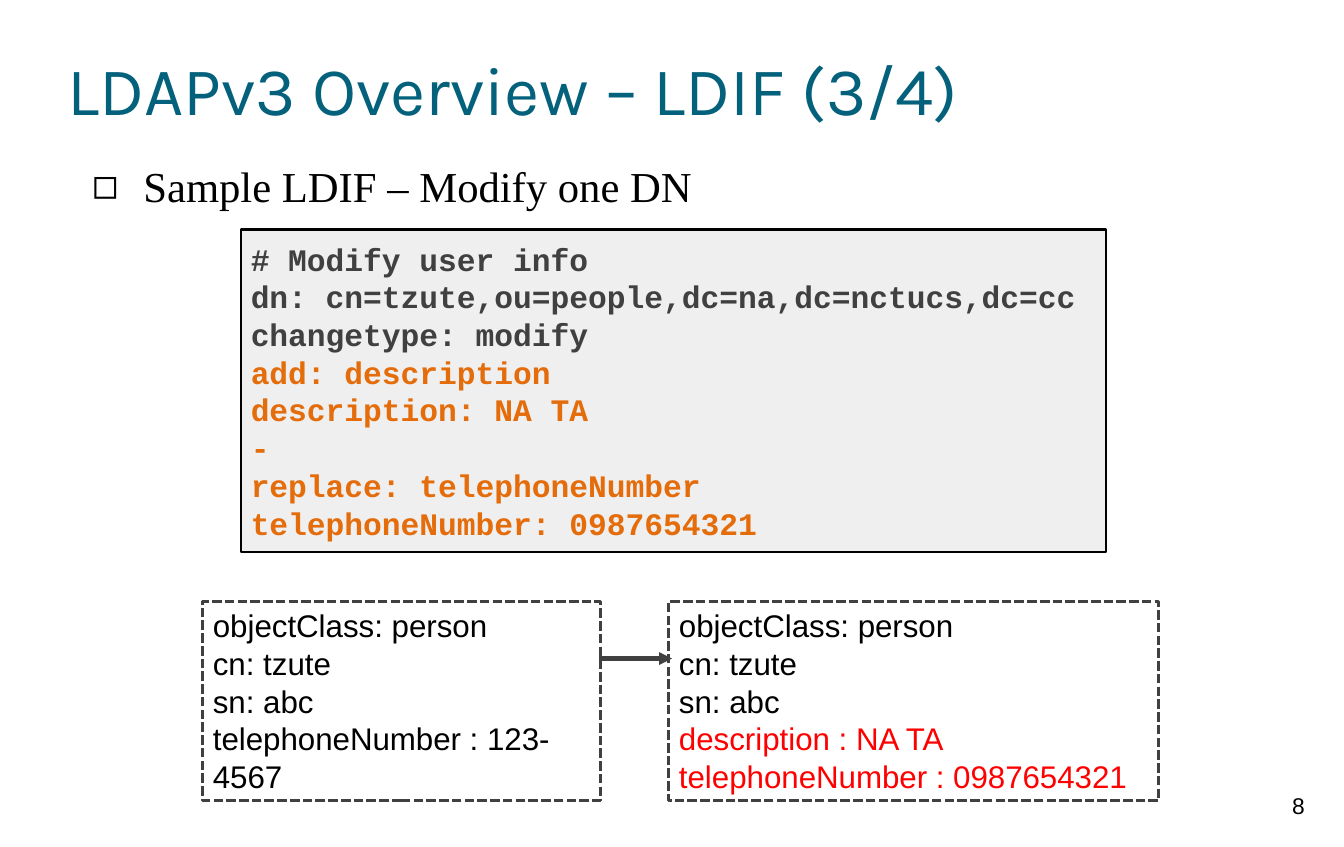
import dataclasses
import typing

import lxml.etree
import pptx
import pptx.dml.color
import pptx.enum.dml
import pptx.enum.shapes
import pptx.enum.text
import pptx.oxml.ns
import pptx.util

Anchor = pptx.enum.text.MSO_ANCHOR
Fit = pptx.enum.text.MSO_AUTO_SIZE
Align = pptx.enum.text.PP_ALIGN
qn = pptx.oxml.ns.qn

WIDTH = pptx.util.Inches(13.12)
HEIGHT = pptx.util.Inches(8.27)


@dataclasses.dataclass(frozen=True)
class Style:
    font: str
    size: float
    color: str
    bold: bool = False


@dataclasses.dataclass(frozen=True)
class Theme:
    title: Style = Style("Karla", 48, "04617B")
    topic: Style = Style("Times New Roman", 30, "000000")
    code: Style = Style("Courier New", 22, "404040", True)
    change: Style = Style("Courier New", 22, "E46C0A", True)
    entry: Style = Style("Arial", 22, "000000")
    changed_entry: Style = Style("Arial", 22, "FF0000")
    page: Style = Style("Arial", 16, "000000")
    code_fill: str = "EFEFEF"
    code_line: str = "000000"
    entry_line: str = "404040"
    line_pitch: float = 26.5


THEME = Theme()


class Area(typing.NamedTuple):
    left: float
    top: float
    width: float
    height: float


@dataclasses.dataclass(frozen=True)
class Panel:
    area: Area
    plain: tuple[str, ...]
    changed: tuple[str, ...]
    style: Style
    changed_style: Style
    line: str
    line_width: float
    inset: float
    fill: str | None = None
    dashed: bool = False


def across(share: float) -> int:
    return round(WIDTH * share / 100)


def down(share: float) -> int:
    return round(HEIGHT * share / 100)


def rgb(color: str) -> pptx.dml.color.RGBColor:
    return pptx.dml.color.RGBColor.from_string(color)


def place(shape, area: Area) -> None:
    shape.left, shape.top = across(area.left), down(area.top)
    shape.width, shape.height = across(area.width), down(area.height)


def set_insets(frame, side: float, top: float) -> None:
    frame.margin_left = frame.margin_right = pptx.util.Inches(side)
    frame.margin_top = frame.margin_bottom = pptx.util.Inches(top)


def write(paragraph, text: str, style: Style, align=Align.LEFT) -> None:
    paragraph.alignment = align
    run = paragraph.add_run()
    run.text = text
    run.font.name = style.font
    run.font.size = pptx.util.Pt(style.size)
    run.font.bold = style.bold
    run.font.color.rgb = rgb(style.color)


def add_bullet(paragraph, mark: str, color: str) -> None:
    properties = paragraph._p.get_or_add_pPr()
    properties.set("marL", str(pptx.util.Inches(0.75)))
    properties.set("indent", str(pptx.util.Inches(-0.5)))
    bullet_color = lxml.etree.SubElement(properties, qn("a:buClr"))
    lxml.etree.SubElement(bullet_color, qn("a:srgbClr"), val=color)
    lxml.etree.SubElement(properties, qn("a:buChar"), char=mark)


def draw_heading(slide) -> None:
    title = slide.shapes.title
    place(title, Area(5.03, 2.06, 90, 16.69))
    frame = title.text_frame
    set_insets(frame, 0, 0)
    frame.vertical_anchor = Anchor.MIDDLE
    frame.auto_size = Fit.NONE
    write(frame.paragraphs[0], "LDAPv3 Overview – LDIF (3/4)", THEME.title)


def draw_topic(slide) -> None:
    topic = slide.placeholders[1]
    place(topic, Area(4.95, 18.02, 90.3, 7))
    frame = topic.text_frame
    set_insets(frame, 0, 0)
    frame.vertical_anchor = Anchor.TOP
    frame.auto_size = Fit.SHAPE_TO_FIT_TEXT
    paragraph = frame.paragraphs[0]
    paragraph.line_spacing = 1.15
    paragraph.space_before = pptx.util.Pt(0)
    add_bullet(paragraph, "◻", THEME.topic.color)
    write(paragraph, "Sample LDIF – Modify one DN", THEME.topic)


def draw_panel(slide, panel: Panel) -> None:
    box = slide.shapes.add_shape(pptx.enum.shapes.MSO_SHAPE.RECTANGLE, 0, 0, 0, 0)
    place(box, panel.area)
    box.shadow.inherit = False
    if panel.fill:
        box.fill.solid()
        box.fill.fore_color.rgb = rgb(panel.fill)
    else:
        box.fill.background()
    box.line.color.rgb = rgb(panel.line)
    box.line.width = pptx.util.Pt(panel.line_width)
    if panel.dashed:
        box.line.dash_style = pptx.enum.dml.MSO_LINE.SQUARE_DOT
    frame = box.text_frame
    frame.word_wrap = True
    frame.vertical_anchor = Anchor.TOP
    set_insets(frame, 0.1, panel.inset)
    lines = [(text, panel.style) for text in panel.plain]
    lines += [(text, panel.changed_style) for text in panel.changed]
    for index, (text, style) in enumerate(lines):
        paragraph = frame.add_paragraph() if index else frame.paragraphs[0]
        paragraph.line_spacing = pptx.util.Pt(THEME.line_pitch)
        write(paragraph, text, style)


def entry_panel(left: float, width: float, plain: tuple[str, ...],
                changed: tuple[str, ...] = ()) -> Panel:
    shared = ("objectClass: person", "cn: tzute", "sn: abc")
    return Panel(Area(left, 70.98, width, 23.58), shared + plain, changed,
                 THEME.entry, THEME.changed_entry, THEME.entry_line, 2.25, 0.05,
                 dashed=True)


def draw_arrow(slide, start: float, end: float, level: float) -> None:
    arrow = slide.shapes.add_connector(
        pptx.enum.shapes.MSO_CONNECTOR.STRAIGHT,
        across(start), down(level), across(end), down(level))
    arrow.line.color.rgb = rgb(THEME.entry_line)
    arrow.line.width = pptx.util.Pt(3)
    lxml.etree.SubElement(arrow.line._get_or_add_ln(), qn("a:tailEnd"), type="triangle")
    lxml.etree.SubElement(arrow._element.spPr, qn("a:effectLst"))


def draw_page(slide) -> None:
    page = slide.shapes.add_textbox(0, 0, 0, 0)
    place(page, Area(93.6, 92.26, 6.02, 7.62))
    frame = page.text_frame
    frame.word_wrap = True
    set_insets(frame, 0.1, 0.1)
    write(frame.paragraphs[0], "8", THEME.page, Align.CENTER)


def main() -> None:
    deck = pptx.Presentation()
    deck.slide_width, deck.slide_height = WIDTH, HEIGHT
    slide = deck.slides.add_slide(deck.slide_layouts[1])
    modification = Panel(
        Area(17.91, 27.09, 64.4, 38.09),
        ("# Modify user info",
         "dn: cn=tzute,ou=people,dc=na,dc=nctucs,dc=cc",
         "changetype: modify"),
        ("add: description", "description: NA TA", "-",
         "replace: telephoneNumber", "telephoneNumber: 0987654321"),
        THEME.code, THEME.change, THEME.code_line, 1.5, 0.1, fill=THEME.code_fill)
    before = entry_panel(15.09, 29.57, ("telephoneNumber : 123-4567",))
    after = entry_panel(49.77, 36.43, (),
                        ("description : NA TA", "telephoneNumber : 0987654321"))
    draw_heading(slide)
    draw_topic(slide)
    for panel in (modification, before, after):
        draw_panel(slide, panel)
    draw_arrow(slide, 44.6, 50, 77.75)
    draw_page(slide)
    deck.save("out.pptx")


if __name__ == "__main__":
    main()
